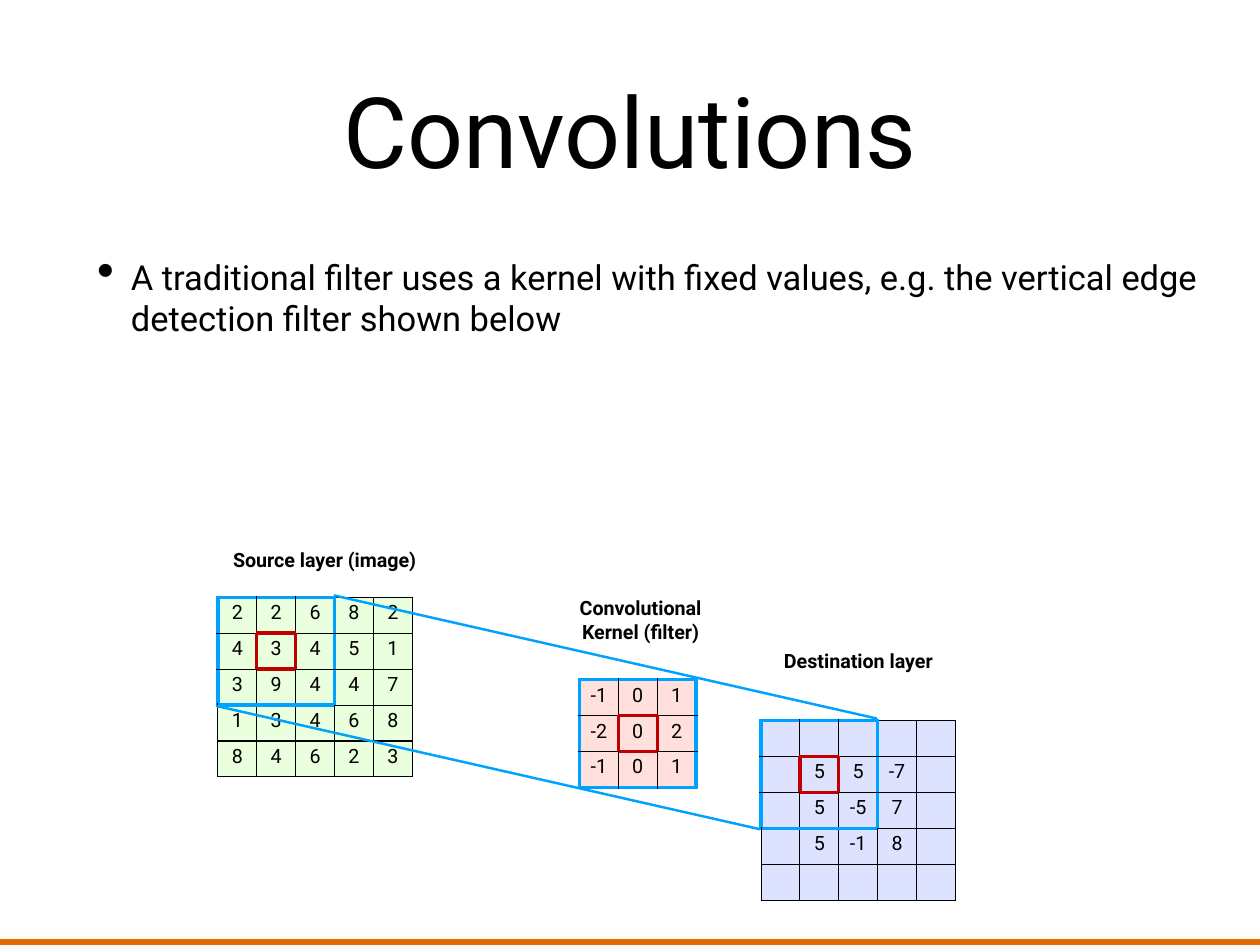
import pptx
import pptx.dml.color
import pptx.enum.shapes
import pptx.enum.text
import pptx.util
from lxml import etree
from pptx.oxml.ns import qn

Pt = pptx.util.Pt
RGBColor = pptx.dml.color.RGBColor
PP_ALIGN = pptx.enum.text.PP_ALIGN
MSO_ANCHOR = pptx.enum.text.MSO_ANCHOR
MSO_AUTO_SIZE = pptx.enum.text.MSO_AUTO_SIZE

# Content
TITLE = "Convolutions"
BULLET = ("A traditional filter uses a kernel with fixed values, "
          "e.g. the vertical edge detection filter shown below")
SOURCE = [
    [2, 2, 6, 8, 2],
    [4, 3, 4, 5, 1],
    [3, 9, 4, 4, 7],
    [1, 3, 4, 6, 8],
    [8, 4, 6, 2, 3],
]
KERNEL = [
    [-1, 0, 1],
    [-2, 0, 2],
    [-1, 0, 1],
]
DESTINATION = [
    ["", "", "", "", ""],
    ["", 5, 5, -7, ""],
    ["", 5, -5, 7, ""],
    ["", 5, -1, 8, ""],
    ["", "", "", "", ""],
]
LABELS = [  # text, left, top, width, height
    ("Source layer (image)", 177.1, 442, 173.5, 26.6),
    ("Destination layer", 627.8, 523.4, 139.7, 28.8),
    ("Convolutional\nKernel (filter)", 459.4, 481, 122.4, 46),
]

# Style
FONT = "Roboto"
BLACK = RGBColor(0x00, 0x00, 0x00)
ORANGE = RGBColor(0xE7, 0x6A, 0x01)
BLUE = RGBColor(0x00, 0xA2, 0xFF)
RED = RGBColor(0xC0, 0x00, 0x00)
GREEN_FILL = RGBColor(0xE9, 0xFF, 0xDD)
PINK_FILL = RGBColor(0xFF, 0xE0, 0xDC)
LILAC_FILL = RGBColor(0xDD, 0xE3, 0xFF)

# Geometry
SLIDE_WIDTH, SLIDE_HEIGHT = 1024, 768
BAR_HEIGHT = 4.8
CELL_WIDTH, CELL_HEIGHT = 31.6, 29.25
SOURCE_AT = (177.1, 485.3)
DESTINATION_AT = (618.5, 585.4)
KERNEL_AT = (470.9, 552.2)
WINDOW_SIZE = 3
FOCUS = (1, 1)
SIDES = {"a:lnL": (0, -1), "a:lnR": (0, 1), "a:lnT": (-1, 0), "a:lnB": (1, 0)}


def format_text(text_frame, size, bold=False, align=PP_ALIGN.CENTER):
    for paragraph in text_frame.paragraphs:
        paragraph.alignment = align
        for run in paragraph.runs:
            run.font.name = FONT
            run.font.size = Pt(size)
            run.font.bold = bold
            run.font.color.rgb = BLACK


def add_text(slide, text, left, top, width, height, size, inset=None, **style):
    box = slide.shapes.add_textbox(Pt(left), Pt(top), Pt(width), Pt(height))
    text_frame = box.text_frame
    text_frame.word_wrap = True
    if inset is not None:
        text_frame.margin_left = text_frame.margin_right = Pt(inset)
        text_frame.margin_top = text_frame.margin_bottom = Pt(inset)
    text_frame.text = text
    format_text(text_frame, size, **style)
    return text_frame


def in_window(position):
    return all(0 <= index < WINDOW_SIZE for index in position)


def border_style(position, neighbour):
    """Red around the focus cell, blue around the window, black elsewhere."""
    if FOCUS in (position, neighbour):
        return RED, 3
    if in_window(position) != in_window(neighbour):
        return BLUE, 3
    return BLACK, 1


def add_border(cell, tag, color, width):
    properties = cell._tc.get_or_add_tcPr()
    line = etree.SubElement(properties, qn(tag), w=str(Pt(width)))
    fill = etree.SubElement(line, qn("a:solidFill"))
    etree.SubElement(fill, qn("a:srgbClr"), val=str(color))


def add_grid(slide, values, position, color):
    rows, columns = len(values), len(values[0])
    table = slide.shapes.add_table(
        rows, columns, Pt(position[0]), Pt(position[1]),
        Pt(columns * CELL_WIDTH), Pt(rows * CELL_HEIGHT)).table
    table.first_row = False
    table.horz_banding = False
    for column in table.columns:
        column.width = Pt(CELL_WIDTH)
    for r, row_values in enumerate(values):
        table.rows[r].height = Pt(CELL_HEIGHT)
        for c, value in enumerate(row_values):
            cell = table.cell(r, c)
            cell.margin_bottom = 0
            cell.text_frame.text = str(value)
            format_text(cell.text_frame, 16)
            for tag, (down, right) in SIDES.items():
                add_border(cell, tag, *border_style((r, c), (r + down, c + right)))
            cell.fill.solid()
            cell.fill.fore_color.rgb = color


def add_projection(slide, offset_x, offset_y):
    """Line between matching window corners of source and destination."""
    points = [Pt(value) for left, top in (SOURCE_AT, DESTINATION_AT)
              for value in (left + offset_x, top + offset_y)]
    line = slide.shapes.add_connector(
        pptx.enum.shapes.MSO_CONNECTOR.STRAIGHT, *points)
    line.line.color.rgb = BLUE
    line.line.width = Pt(2)
    etree.SubElement(line._element.spPr, qn("a:effectLst"))


def main():
    presentation = pptx.Presentation()
    presentation.slide_width = Pt(SLIDE_WIDTH)
    presentation.slide_height = Pt(SLIDE_HEIGHT)
    slide = presentation.slides.add_slide(presentation.slide_layouts[6])

    # Bottom bar
    bar = slide.shapes.add_shape(
        pptx.enum.shapes.MSO_SHAPE.RECTANGLE, 0, Pt(SLIDE_HEIGHT - BAR_HEIGHT),
        Pt(SLIDE_WIDTH), Pt(BAR_HEIGHT))
    bar.shadow.inherit = False
    bar.fill.solid()
    bar.fill.fore_color.rgb = ORANGE
    bar.line.fill.background()

    # Bullet and title
    body = add_text(slide, BULLET, 75, 203.8, 904, 495, 28, inset=4,
                    align=PP_ALIGN.LEFT)
    paragraph = body.paragraphs[0]
    paragraph.space_before = Pt(32)
    properties = paragraph._p.get_or_add_pPr()
    properties.set("marL", str(Pt(27.4)))
    properties.set("indent", str(Pt(-27.4)))
    etree.SubElement(properties, qn("a:buSzPct"), val="145000")
    etree.SubElement(properties, qn("a:buChar"), char="•")
    title = add_text(slide, TITLE, 75, 20, 874, 170, 80, inset=4)
    title.vertical_anchor = MSO_ANCHOR.MIDDLE

    # Grids and projection lines
    add_grid(slide, SOURCE, SOURCE_AT, GREEN_FILL)
    add_projection(slide, WINDOW_SIZE * CELL_WIDTH - 0.5, -1.4)
    add_projection(slide, -0.7, WINDOW_SIZE * CELL_HEIGHT + 0.8)
    add_grid(slide, DESTINATION, DESTINATION_AT, LILAC_FILL)
    add_grid(slide, KERNEL, KERNEL_AT, PINK_FILL)

    # Grid labels
    for text, *box in LABELS:
        label = add_text(slide, text, *box, 16, bold=True)
        label.word_wrap = False
        label.auto_size = MSO_AUTO_SIZE.SHAPE_TO_FIT_TEXT

    presentation.save("out.pptx")


if __name__ == "__main__":
    main()
